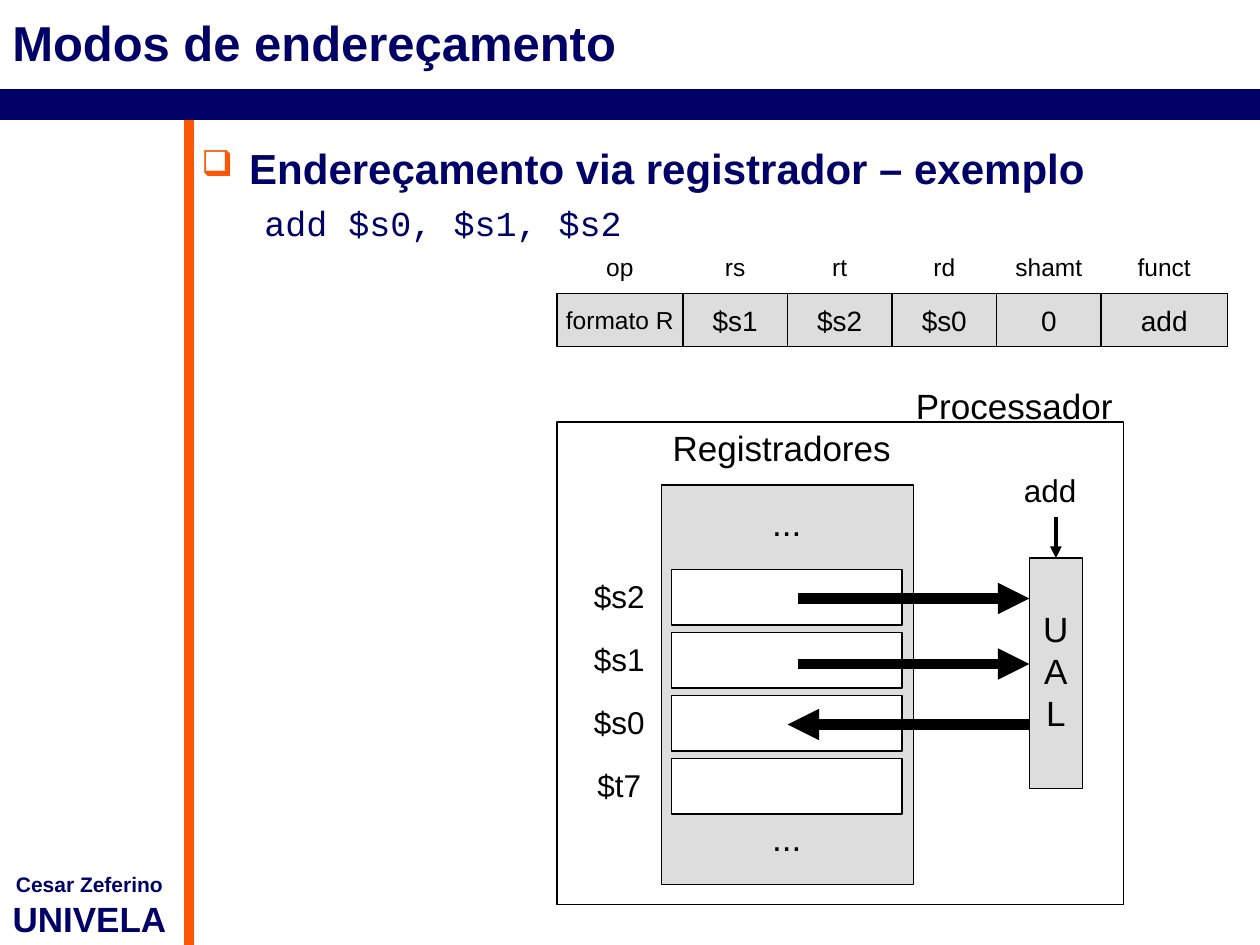
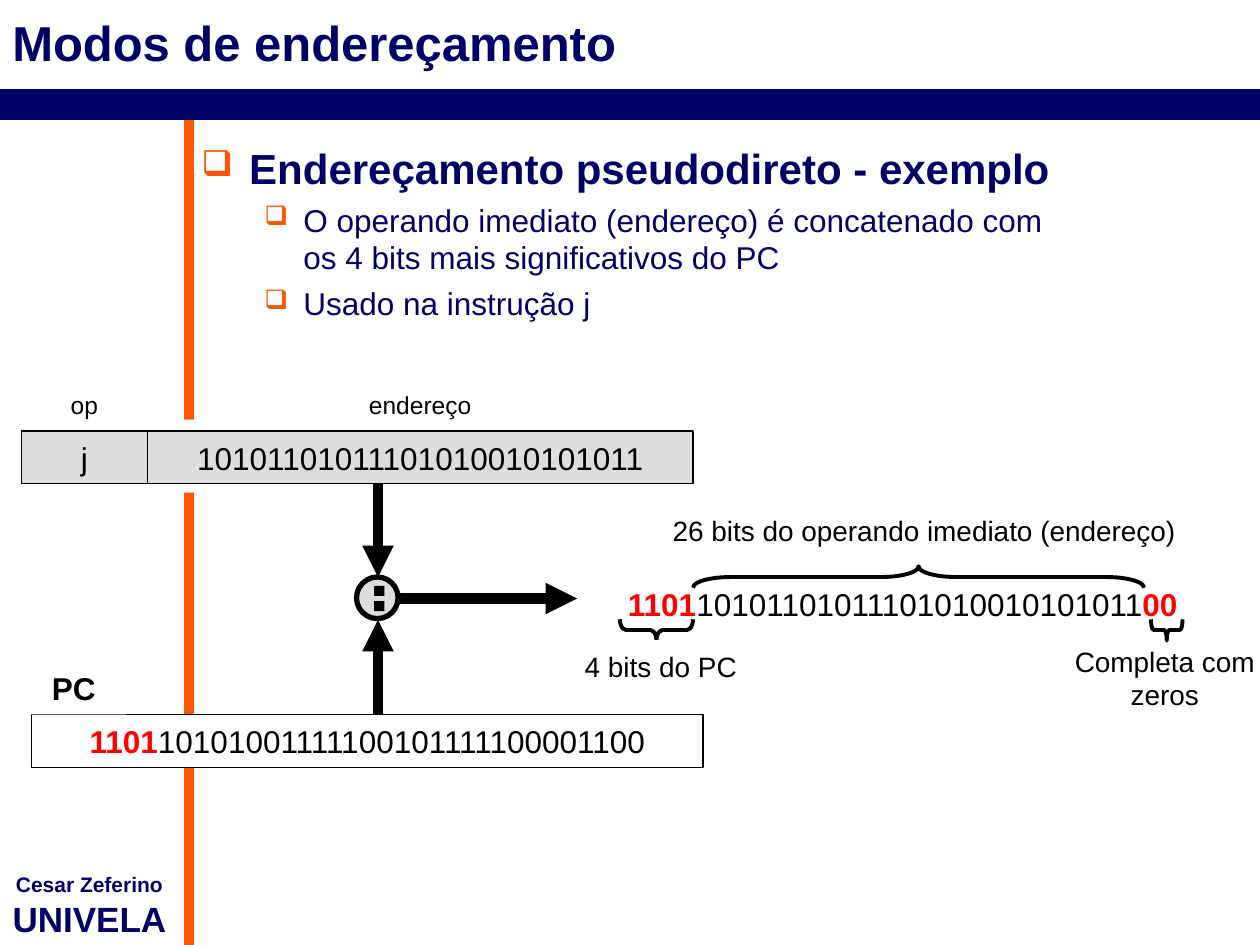
"""Builds two slides on MIPS addressing modes with a shared page frame."""
import itertools
from dataclasses import dataclass

import lxml.etree
import pptx
import pptx.dml.color
import pptx.enum.shapes
import pptx.enum.text
import pptx.oxml.ns
import pptx.util

Inches = pptx.util.Inches
Pt = pptx.util.Pt
qn = pptx.oxml.ns.qn
SHAPE = pptx.enum.shapes.MSO_SHAPE
ALIGN = pptx.enum.text.PP_ALIGN
ANCHOR = pptx.enum.text.MSO_ANCHOR


@dataclass(frozen=True)
class Theme:
    navy: str = "000066"
    orange: str = "FB5705"
    black: str = "000000"
    white: str = "FFFFFF"
    gray: str = "DDDDDD"
    red: str = "FF0000"
    font: str = "Arial"
    code_font: str = "Courier New"
    title: int = 28
    heading: int = 24
    large: int = 20
    normal: int = 18
    small: int = 16
    label: int = 14
    footer: int = 12
    hairline: float = 0.75
    thin: float = 2.25
    ring: float = 3
    thick: float = 6
    band: float = 18


def rgb(value):
    return pptx.dml.color.RGBColor.from_string(value)


def assign(target, values):
    for name, value in values.items():
        setattr(target, name, value)


class Painter:
    def __init__(self, deck, theme):
        self.deck = deck
        self.theme = theme
        self.page = None

    def new_page(self):
        self.page = self.deck.slides.add_slide(self.deck.slide_layouts[6])
        theme = self.theme
        self.line((1.5, 0.92), (1.5, 7.5), theme.thick, theme.orange)
        self.line((0, 0.83), (10, 0.83), theme.band, theme.navy)
        footer = self.text((0, 6.87, 1.42, 0.64), anchor=ANCHOR.TOP, wrap=True)
        assign(footer.text_frame, {"margin_left": 0, "margin_right": 0})
        bold = {"color": theme.navy, "bold": True}
        self.paragraph(footer, "Cesar Zeferino", theme.footer, **bold)
        self.paragraph(footer, "UNIVELA", theme.large, **bold)

    def title(self, words):
        box = self.text((0, 0, 10, 0.67), wrap=True)
        self.paragraph(box, words, self.theme.title, ALIGN.LEFT, color=self.theme.navy, bold=True)

    def body(self, heading):
        theme = self.theme
        box = self.text((1.5, 1.08, 8.5, 6.42), anchor=ANCHOR.TOP, wrap=True)
        para = self.paragraph(box, heading, theme.heading, ALIGN.LEFT, color=theme.navy, bold=True)
        self.indent(para, 0.38, -0.38)
        return box

    def body_line(self, box, words, size, space, bullet=True, **style):
        para = self.paragraph(box, words, size, ALIGN.LEFT, color=self.theme.navy, **style)
        para.space_before = Pt(space)
        self.indent(para, 0.81, -0.31, bullet)

    def indent(self, para, left, first, bullet=True):
        properties = para._p.get_or_add_pPr()
        properties.set("marL", str(Inches(left)))
        properties.set("indent", str(Inches(first)))
        if not bullet:
            lxml.etree.SubElement(properties, qn("a:buNone"))
            return
        color = lxml.etree.SubElement(properties, qn("a:buClr"))
        lxml.etree.SubElement(color, qn("a:srgbClr"), val=self.theme.orange)
        lxml.etree.SubElement(properties, qn("a:buSzPct"), val="85000")
        lxml.etree.SubElement(properties, qn("a:buChar"), char="❑")

    def paragraph(self, box, words, size, align=ALIGN.CENTER, **style):
        frame = box.text_frame
        para = frame.add_paragraph() if frame.paragraphs[0].runs else frame.paragraphs[0]
        para.alignment = align
        spans = [(words, {})] if isinstance(words, str) else words
        for text, extra in spans:
            look = {"name": self.theme.font, "bold": False, "color": self.theme.black} | style | extra
            color = look.pop("color")
            for number, part in enumerate(text.split("\n")):
                if number:
                    para.add_line_break()
                span = para.add_run()
                span.text = part
                assign(span.font, look | {"size": Pt(size)})
                span.font.color.rgb = rgb(color)
        return para

    def text(self, place, words=None, size=None, anchor=ANCHOR.MIDDLE, wrap=False, **style):
        box = self.page.shapes.add_textbox(*map(Inches, place))
        assign(box.text_frame, {"word_wrap": wrap, "vertical_anchor": anchor})
        if words:
            self.paragraph(box, words, size, **style)
        return box

    def shape(self, place, fill, line=None, words=None, size=None, kind=SHAPE.RECTANGLE, **style):
        box = self.page.shapes.add_shape(kind, *map(Inches, place))
        box.shadow.inherit = False
        if fill:
            box.fill.solid()
            box.fill.fore_color.rgb = rgb(fill)
        else:
            box.fill.background()
        if line:
            box.line.color.rgb = rgb(self.theme.black)
            box.line.width = Pt(line)
        else:
            box.line.fill.background()
        assign(box.text_frame, {"word_wrap": False, "vertical_anchor": ANCHOR.MIDDLE})
        if words:
            self.paragraph(box, words, size, **style)
        return box

    def brace(self, center, length, rotation, depth=0.17):
        x, y = center
        place = (x - depth / 2, y - length / 2, depth, length)
        box = self.shape(place, None, self.theme.thin, kind=SHAPE.LEFT_BRACE)
        box.rotation = rotation
        box.adjustments[0] = length / 12 / depth

    def line(self, start, end, width, color, arrow=False):
        connector = self.page.shapes.add_connector(
            pptx.enum.shapes.MSO_CONNECTOR.STRAIGHT, *map(Inches, start + end))
        connector.line.color.rgb = rgb(color)
        connector.line.width = Pt(width)
        if arrow:
            lxml.etree.SubElement(connector.line._get_or_add_ln(), qn("a:tailEnd"), type="triangle")
        lxml.etree.SubElement(connector._element.spPr, qn("a:effectLst"))
        return connector

    def arrow(self, start, end, width=None):
        return self.line(start, end, width or self.theme.thick, self.theme.black, arrow=True)

    def fields(self, left, top, columns):
        theme = self.theme
        widths = [column[0] for column in columns]
        edges = itertools.accumulate(widths, initial=left)
        for x, (width, label, value, size) in zip(edges, columns):
            self.shape((x, top, width, 0.42), theme.gray, theme.hairline, value, size)
            self.text((x, top - 0.42, width, 0.42), label, theme.label)


def register_page(paint):
    theme = paint.theme
    paint.new_page()
    paint.title("Modos de endereçamento")
    body = paint.body("Endereçamento via registrador – exemplo")
    paint.body_line(body, "add $s0, $s1, $s2", theme.large, 5, bullet=False, name=theme.code_font)

    paint.fields(4.42, 2.33, [
        (1, "op", "formato R", theme.label),
        (0.83, "rs", "$s1", theme.small),
        (0.83, "rt", "$s2", theme.small),
        (0.83, "rd", "$s0", theme.small),
        (0.83, "shamt", "0", theme.small),
        (1, "funct", "add", theme.small),
    ])

    paint.shape((4.42, 3.35, 4.5, 3.83), theme.white, theme.hairline)
    paint.text((7.17, 3, 1.76, 0.44), "Processador", theme.large)
    paint.shape((5.25, 3.85, 2, 3.17), theme.gray, theme.hairline)
    paint.text((5.24, 3.33, 1.93, 0.44), "Registradores", theme.large)
    for top in (3.93, 6.43):
        paint.text((5.33, top, 1.83, 0.44), "...", theme.large)
    for row, register in enumerate(("$s2", "$s1", "$s0", "$t7")):
        top = 4.52 + row * 0.5
        paint.shape((5.33, top, 1.83, 0.44), theme.white, theme.hairline)
        paint.text((4.5, top, 0.83, 0.42), register, theme.normal)

    unit = paint.shape((8.17, 4.43, 0.42, 1.83), theme.gray, theme.hairline)
    letters = paint.text((8.17, 4.77, 0.42, 1.1), wrap=True)
    for letter in "UAL":
        paint.paragraph(letters, letter, theme.large)
    for y in (4.75, 5.27):
        paint.arrow((6.33, y), (8.17, y))
    paint.arrow((8.17, 5.75), (6.25, 5.75))
    paint.text((7.92, 3.68, 0.83, 0.42), "add", theme.normal)
    paint.arrow((8.38, 4.1), (8.38, 4.43), theme.thin).end_connect(unit, 0)


def pseudodirect_page(paint):
    theme = paint.theme
    red = {"color": theme.red, "bold": True}
    address = "10101101011101010010101011"
    paint.new_page()
    paint.shape((1, 3.33, 0.92, 0.58), theme.white)
    paint.title("Modos de endereçamento")
    body = paint.body("Endereçamento pseudodireto - exemplo")
    for words in ("O operando imediato (endereço) é concatenado com \nos 4 bits mais significativos do PC",
                  "Usado na instrução j"):
        paint.body_line(body, words, theme.normal, 4.5)

    paint.fields(0.17, 3.42, [
        (1, "op", "j", theme.normal),
        (4.33, "endereço", address, theme.normal),
    ])
    paint.arrow((3, 5.67), (3, 4.92))
    paint.shape((0.25, 5.67, 5.33, 0.42), theme.white, theme.hairline,
                [("1101", red), ("10101001111100101111100001100", {})], theme.normal)
    paint.shape((0.17, 5.25, 0.83, 0.42), theme.white, None, "PC", theme.normal, bold=True)
    paint.arrow((3.17, 4.75), (4.58, 4.75))
    paint.shape((2.83, 4.58, 0.33, 0.33), theme.gray, theme.ring, kind=SHAPE.OVAL)
    for top in (4.65, 4.77):
        paint.shape((2.97, top, 0.08, 0.08), theme.black)
    paint.arrow((3, 3.83), (3, 4.58))

    paint.shape((4.58, 4.58, 5.17, 0.42), theme.white, None,
                [("1101", red), (address, {}), ("00", red)], theme.normal)
    for center, length, rotation in (((5.21, 5), 0.58, 270), ((9.26, 5), 0.25, 270), ((7.29, 4.58), 3.58, 90)):
        paint.brace(center, length, rotation)
    for left, top, note in ((4.83, 5.08, "4 bits do PC"),
                            (8.83, 5.17, "Completa com\nzeros"),
                            (6.92, 4, "26 bits do operando imediato (endereço)")):
        paint.shape((left, top, 0.83, 0.42), theme.white, None, note, theme.small)


def main():
    deck = pptx.Presentation()
    assign(deck, {"slide_width": Inches(10), "slide_height": Inches(7.5)})
    paint = Painter(deck, Theme())
    register_page(paint)
    pseudodirect_page(paint)
    deck.save("out.pptx")


if __name__ == "__main__":
    main()
